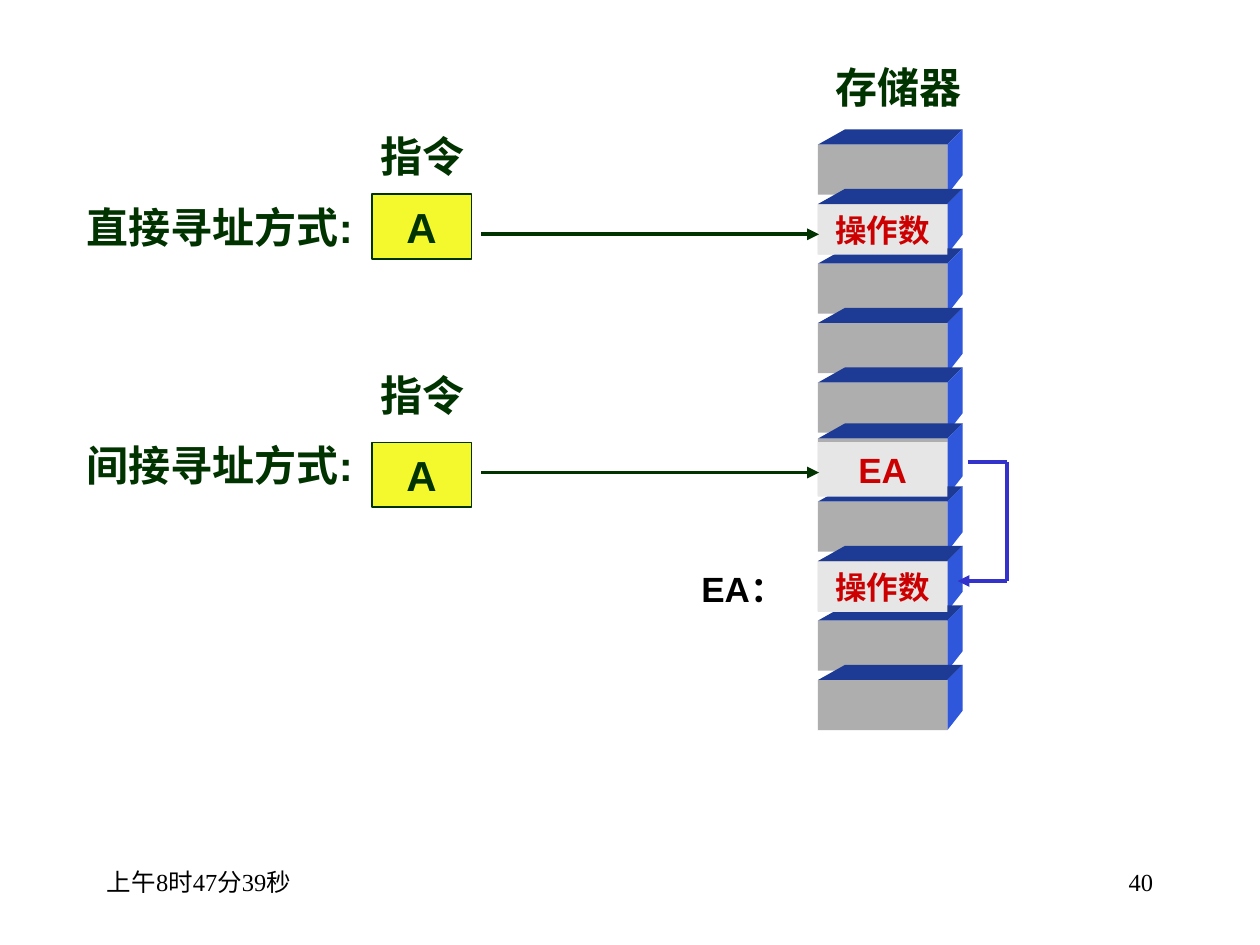
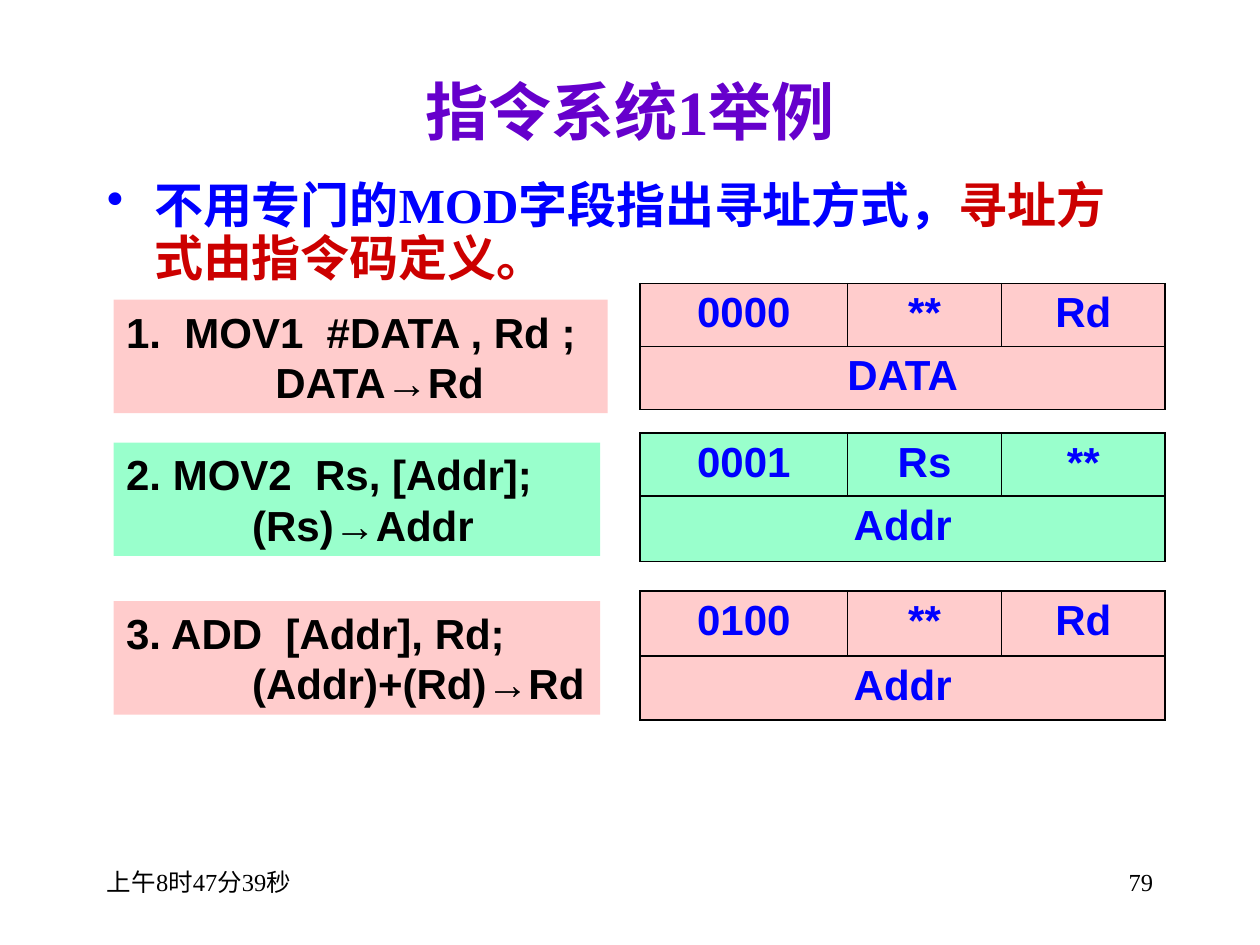
from dataclasses import dataclass
from itertools import pairwise

from lxml.etree import SubElement
from pptx import Presentation
from pptx.dml.color import RGBColor
from pptx.enum.shapes import MSO_CONNECTOR, MSO_SHAPE
from pptx.enum.text import MSO_ANCHOR, PP_ALIGN
from pptx.oxml.ns import qn
from pptx.util import Pt

# Shared colours and fonts
GREEN, RED, BLACK = "003300", "CC0000", "000000"
BLUE, PURPLE, LINK_BLUE = "0000FF", "6600CC", "3333CC"
YELLOW, PINK, MINT = "F4F92D", "FFCCCC", "99FFCC"
CELL_FRONT, CELL_TOP, CELL_SIDE, CELL_FILLED = "AEAEAE", "1D3A94", "2E57DB", "E6E6E6"
SANS, SERIF = "Arial", "Times New Roman"
LEFT, CENTER, RIGHT = PP_ALIGN.LEFT, PP_ALIGN.CENTER, PP_ALIGN.RIGHT


@dataclass(frozen=True)
class Box:
    left: float
    top: float
    width: float
    height: float

    def lengths(self) -> tuple:
        return Pt(self.left), Pt(self.top), Pt(self.width), Pt(self.height)


@dataclass(frozen=True)
class Style:
    size: float
    color: str
    font: str = SANS
    bold: bool = True
    align: PP_ALIGN = CENTER


@dataclass(frozen=True)
class AddressingMode:
    name: str
    top: float  # top of the heading over the instruction
    field_top: float


@dataclass(frozen=True)
class Instruction:
    lines: tuple
    fields: tuple
    operand: str
    fill: str
    text_box: Box
    tab: float
    table_top: float
    rows: tuple


HEADING = Style(24, GREEN)
MODE_NAME = Style(24, GREEN, align=LEFT)
OPERAND = Style(18, RED)
ADDRESS = Style(20, RED)
CODE = Style(24, BLACK, align=LEFT)
FIELD = Style(24, BLUE)
TITLE = Style(36, PURPLE, SERIF)
BODY = Style(28, BLUE, SERIF, align=LEFT)
CLOCK = Style(14, BLACK, SERIF, False, LEFT)
PAGE = Style(14, BLACK, SERIF, False, RIGHT)

MODES = (
    AddressingMode("直接寻址方式:", 71.3, 111),
    AddressingMode("间接寻址方式:", 207.4, 252.8),
)

INSTRUCTIONS = (
    Instruction(("1.  MOV1  #DATA , Rd ;", "\tDATA→Rd"), ("0000", "**", "Rd"), "DATA",
                PINK, Box(65, 171.3, 282.3, 64.8), 85.3, 162, (34, 34)),
    Instruction(("2. MOV2  Rs, [Addr];", "\t(Rs)→Addr"), ("0001", "Rs", "**"), "Addr",
                MINT, Box(65, 252.9, 278, 64.8), 72, 247.5, (36, 37.5)),
    Instruction(("3. ADD  [Addr], Rd;", "\t(Addr)+(Rd)→Rd"), ("0100", "**", "Rd"), "Addr",
                PINK, Box(65, 343.6, 278, 64.8), 72, 337.8, (37, 36.7)),
)
FIELD_WIDTHS = (118.5, 88, 93.5)

# Memory column
MEMORY_LEFT, MEMORY_TOP, MEMORY_STEP = 467.4, 82.6, 34
CELL_WIDTH, CELL_HEIGHT, CELL_COUNT = 74, 28.6, 10
DEPTH_X, DEPTH_Y, TOP_SLANT, SIDE_DROP = 8.7, 8.7, 15.5, 17.5
POINTER_CELL = 5


def rgb(color: str) -> RGBColor:
    return RGBColor.from_string(color)


def set_font(target, style: Style) -> None:
    font = target.font
    font.size, font.bold, font.name = Pt(style.size), style.bold, style.font
    font.color.rgb = rgb(style.color)


def write(frame, lines: tuple, style: Style, tab: float = 0) -> None:
    frame.word_wrap = True
    for number, line in enumerate(lines):
        paragraph = frame.add_paragraph() if number else frame.paragraphs[0]
        paragraph.alignment = style.align
        if tab:
            stops = SubElement(paragraph._p.get_or_add_pPr(), qn("a:tabLst"))
            SubElement(stops, qn("a:tab"), pos=str(Pt(tab)), algn="l")
        set_font(paragraph, style)
        paragraph.add_run().text = line


def add_label(slide, text: str, box: Box, style: Style):
    frame = slide.shapes.add_textbox(*box.lengths()).text_frame
    write(frame, (text,), style)
    return frame


def dress(shape, fill: str, line: str = "") -> None:
    shape.shadow.inherit = False
    shape.fill.solid()
    shape.fill.fore_color.rgb = rgb(fill)
    if line:
        shape.line.color.rgb, shape.line.width = rgb(line), Pt(1)
    else:
        shape.line.fill.background()


def add_block(slide, box: Box, fill: str, line: str = ""):
    block = slide.shapes.add_shape(MSO_SHAPE.RECTANGLE, *box.lengths())
    dress(block, fill, line)
    return block.text_frame


def add_face(slide, corners: list, fill: str) -> None:
    start, *rest = [(Pt(x), Pt(y)) for x, y in corners]
    builder = slide.shapes.build_freeform(*start, scale=1.0)
    builder.add_line_segments(rest, close=True)
    dress(builder.convert_to_shape(), fill)


def add_memory_cell(slide, top: float, height: float) -> None:
    left, right = MEMORY_LEFT, MEMORY_LEFT + CELL_WIDTH
    back, back_top = right + DEPTH_X, top - DEPTH_Y
    add_face(slide, [(left, top), (left + TOP_SLANT, back_top),
                     (back, back_top), (right, top)], CELL_TOP)
    add_face(slide, [(right, top), (back, back_top),
                     (back, top + height - CELL_HEIGHT + SIDE_DROP),
                     (right, top + height)], CELL_SIDE)
    add_block(slide, Box(left, top, CELL_WIDTH, height), CELL_FRONT)


def add_line(slide, start: tuple, end: tuple, color: str, arrow: bool) -> None:
    line = slide.shapes.add_connector(
        MSO_CONNECTOR.STRAIGHT, *(Pt(value) for value in (*start, *end)))
    line.line.color.rgb, line.line.width = rgb(color), Pt(2.25)
    if arrow:
        SubElement(line.line._get_or_add_ln(), qn("a:tailEnd"), type="triangle")
    SubElement(line._element.spPr, qn("a:effectLst"))


def add_route(slide, points: list, color: str) -> None:
    for start, end in pairwise(points):
        add_line(slide, start, end, color, end == points[-1])


def add_footer(slide, page: str) -> None:
    add_label(slide, "上午8时47分39秒", Box(54, 491.8, 150, 36), CLOCK)
    add_label(slide, page, Box(516, 491.8, 150, 36), PAGE)


def add_format_table(slide, instruction: Instruction) -> None:
    box = Box(365.8, instruction.table_top, sum(FIELD_WIDTHS), sum(instruction.rows))
    table = slide.shapes.add_table(2, len(FIELD_WIDTHS), *box.lengths()).table
    table.first_row = table.horz_banding = False
    for column, width in zip(table.columns, FIELD_WIDTHS):
        column.width = Pt(width)
    for row, height in zip(table.rows, instruction.rows):
        row.height = Pt(height)
    for cell in table.iter_cells():
        for side in ("lnL", "lnR", "lnT", "lnB"):
            border = SubElement(cell._tc.get_or_add_tcPr(), qn(f"a:{side}"), w=str(Pt(1)))
            SubElement(SubElement(border, qn("a:solidFill")), qn("a:srgbClr"), val=BLACK)
        cell.fill.solid()
        cell.fill.fore_color.rgb = rgb(instruction.fill)
    table.cell(1, 0).merge(table.cell(1, 2))
    for column, field in enumerate(instruction.fields):
        write(table.cell(0, column).text_frame, (field,), FIELD)
    write(table.cell(1, 0).text_frame, (instruction.operand,), FIELD)


def build_addressing_slide(slide) -> None:
    # Memory cells
    add_label(slide, "存储器", Box(468, 31.7, 90.7, 36), HEADING)
    for index in range(CELL_COUNT):
        top = MEMORY_TOP + index * MEMORY_STEP
        if index == POINTER_CELL:
            add_memory_cell(slide, top - 2, CELL_HEIGHT + 4)
        else:
            add_memory_cell(slide, top, CELL_HEIGHT)

    # Filled cells
    for text, top, height, style in (("操作数", 116.8, 28.8, OPERAND),
                                     ("EA", 252.6, 31.2, ADDRESS),
                                     ("操作数", 320.9, 28.8, OPERAND)):
        box = Box(MEMORY_LEFT, top, CELL_WIDTH, height)
        write(add_block(slide, box, CELL_FILLED), (text,), style)
    add_label(slide, "EA：", Box(388, 320.9, 73.4, 31), Style(20, BLACK))

    # Instructions and their arrows into memory
    for mode in MODES:
        add_label(slide, "指令", Box(201.6, mode.top, 79.2, 36), HEADING)
        add_label(slide, mode.name, Box(42.5, mode.top + 40.3, 181.4, 36), MODE_NAME)
        field = add_block(slide, Box(212.4, mode.field_top, 57, 37), YELLOW, GREEN)
        field.vertical_anchor = MSO_ANCHOR.MIDDLE
        write(field, ("A",), HEADING)
        arrow_y = mode.top + 62.6
        add_route(slide, [(275, arrow_y), (468, arrow_y)], GREEN)

    # Link from the pointer cell to the operand
    add_route(slide, [(553, 264.2), (575.3, 264.2), (575.3, 332), (547.2, 332)], LINK_BLUE)
    add_footer(slide, "40")


def build_instruction_slide(slide) -> None:
    # Title and statement
    title = add_label(slide, "指令系统1举例", Box(54, 37.4, 612, 51.8), TITLE)
    title.vertical_anchor = MSO_ANCHOR.MIDDLE
    statement = slide.shapes.add_textbox(*Box(54, 100, 612, 68.4).lengths()).text_frame
    statement.word_wrap = True
    paragraph = statement.paragraphs[0]
    paragraph.line_spacing = 0.9
    properties = paragraph._p.get_or_add_pPr()
    properties.set("marL", str(Pt(27)))
    properties.set("indent", str(Pt(-27)))
    SubElement(properties, qn("a:buChar"), char="•")
    set_font(paragraph, BODY)
    for text, color in (("不用专门的MOD字段指出寻址方式，", BLUE), ("寻址方式由指令码定义。", RED)):
        run = paragraph.add_run()
        run.text = text
        run.font.color.rgb = rgb(color)

    # Instructions with their formats
    for instruction in INSTRUCTIONS:
        code = add_block(slide, instruction.text_box, instruction.fill)
        code.vertical_anchor = MSO_ANCHOR.MIDDLE
        write(code, instruction.lines, CODE, instruction.tab)
        add_format_table(slide, instruction)
    add_footer(slide, "79")


def main() -> None:
    deck = Presentation()
    deck.slide_width, deck.slide_height = Pt(720), Pt(540)
    blank = deck.slide_layouts[6]
    for build in (build_addressing_slide, build_instruction_slide):
        build(deck.slides.add_slide(blank))
    deck.save("out.pptx")


if __name__ == "__main__":
    main()
